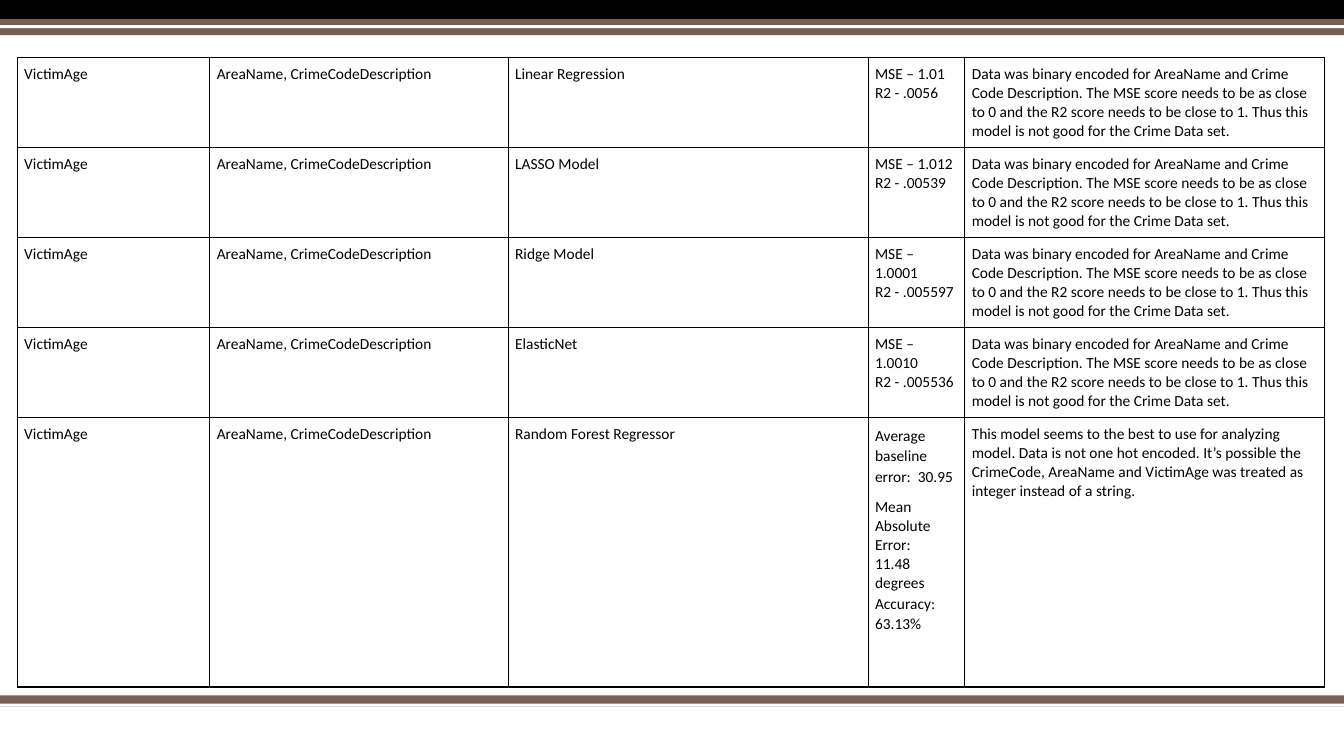
from dataclasses import dataclass
from typing import NamedTuple

from lxml.etree import SubElement
from pptx import Presentation
from pptx.dml.color import RGBColor
from pptx.enum.shapes import MSO_SHAPE
from pptx.oxml.ns import qn
from pptx.slide import Slide
from pptx.table import Table, _Cell
from pptx.util import Inches, Length, Pt

PAGE_WIDTH, PAGE_HEIGHT = Inches(13.33), Inches(7.5)


@dataclass(frozen=True)
class Theme:
    ink: str = "000000"
    band: str = "775F55"
    paper: str = "FFFFFF"
    font: str = "Calibri"
    text_size: float = 11
    inset: float = 0.07
    inner_line: float = 0.75
    outer_line: float = 1
    top_line: float = 0.5


THEME = Theme()


class Bar(NamedTuple):
    top: float
    height: float
    color: str


class Line(NamedTuple):
    text: str
    before: float = 0
    spacing: float = 1


class Model(NamedTuple):
    name: str
    scores: list[Line]
    remark: str


BARS = [
    Bar(92, 1.47, THEME.band),
    Bar(93.07, 0.4, THEME.paper),
    Bar(0, 2.53, THEME.ink),
    Bar(2.53, 2.13, THEME.band),
    Bar(3.33, 0.4, THEME.paper),
]
TABLE_LEFT, TABLE_TOP = 1.28, 7.57
COLUMN_SHARES = [14.33, 22.2, 26.78, 7.2, 26.78]
ROW_SHARES = [11.93] * 4 + [35.6]

POOR_FIT = (
    "Data was binary encoded for AreaName and Crime Code Description. "
    "The MSE score needs to be as close to 0 and the R2 score needs to be close to 1. "
    "Thus this model is not good for the Crime Data set."
)
BEST_FIT = (
    "This model seems to the best to use for analyzing model. Data is not one hot encoded. "
    "It’s possible the CrimeCode, AreaName and VictimAge was treated as integer "
    "instead of a string."
)
MODELS = [
    Model("Linear Regression", [Line("MSE – 1.01"), Line("R2 - .0056")], POOR_FIT),
    Model("LASSO Model", [Line("MSE – 1.012"), Line("R2 - .00539")], POOR_FIT),
    Model("Ridge Model", [Line("MSE – 1.0001"), Line("R2 - .005597")], POOR_FIT),
    Model("ElasticNet", [Line("MSE – 1.0010"), Line("R2 - .005536")], POOR_FIT),
    Model(
        "Random Forest Regressor",
        [
            Line("Average baseline error:  30.95", spacing=1.08),
            Line("Mean Absolute Error:", before=8),
            Line("11.48 degrees"),
            Line("Accuracy: 63.13%", spacing=1.08),
        ],
        BEST_FIT,
    ),
]


def across(share: float) -> Length:
    return Length(round(PAGE_WIDTH * share / 100))


def down(share: float) -> Length:
    return Length(round(PAGE_HEIGHT * share / 100))


def apply_format(target: object, values: dict[str, object]) -> None:
    for name, value in values.items():
        setattr(target, name, value)


def draw_bar(page: Slide, bar: Bar) -> None:
    shape = page.shapes.add_shape(
        MSO_SHAPE.RECTANGLE, 0, down(bar.top), PAGE_WIDTH, down(bar.height)
    )
    shape.shadow.inherit = False
    shape.fill.solid()
    shape.fill.fore_color.rgb = RGBColor.from_string(bar.color)
    shape.line.fill.background()


def write_lines(cell: _Cell, lines: list[Line]) -> None:
    frame = cell.text_frame
    for index, line in enumerate(lines):
        para = frame.add_paragraph() if index else frame.paragraphs[0]
        apply_format(para, {"space_before": Pt(line.before), "line_spacing": line.spacing})
        span = para.add_run()
        span.text = line.text
        apply_format(span.font, {"name": THEME.font, "size": Pt(THEME.text_size)})
        span.font.color.rgb = RGBColor.from_string(THEME.ink)


def draw_borders(cell: _Cell, widths: dict[str, float]) -> None:
    properties = cell._tc.get_or_add_tcPr()
    for position, (side, width) in enumerate(widths.items()):
        border = SubElement(properties, qn(f"a:ln{side}"), w=str(Pt(width)))
        fill = SubElement(border, qn("a:solidFill"))
        SubElement(fill, qn("a:srgbClr"), val=THEME.ink)
        properties.insert(position, border)


def fill_table(table: Table) -> None:
    last_row, last_column = len(ROW_SHARES) - 1, len(COLUMN_SHARES) - 1
    margins = {f"margin_{side}": Inches(THEME.inset) for side in ("left", "top", "right", "bottom")}
    for row, model in enumerate(MODELS):
        contents = [
            [Line("VictimAge")],
            [Line("AreaName, CrimeCodeDescription")],
            [Line(model.name)],
            model.scores,
            [Line(model.remark)],
        ]
        for column, lines in enumerate(contents):
            cell = table.cell(row, column)
            cell.fill.background()
            apply_format(cell, margins)
            write_lines(cell, lines)
            draw_borders(cell, {
                "L": THEME.inner_line if column else THEME.outer_line,
                "R": THEME.outer_line if column == last_column else THEME.inner_line,
                "T": THEME.inner_line if row else THEME.top_line,
                "B": THEME.outer_line if row == last_row else THEME.inner_line,
            })


def draw_table(page: Slide) -> None:
    table = page.shapes.add_table(
        len(ROW_SHARES), len(COLUMN_SHARES), across(TABLE_LEFT), down(TABLE_TOP),
        across(sum(COLUMN_SHARES)), down(sum(ROW_SHARES)),
    ).table
    apply_format(table, {"first_row": False, "horz_banding": False})
    for column, share in zip(table.columns, COLUMN_SHARES):
        column.width = across(share)
    for row, share in zip(table.rows, ROW_SHARES):
        row.height = down(share)
    fill_table(table)


def main() -> None:
    deck = Presentation()
    apply_format(deck, {"slide_width": PAGE_WIDTH, "slide_height": PAGE_HEIGHT})
    page = deck.slides.add_slide(deck.slide_layouts[6])
    page.background.fill.solid()
    page.background.fill.fore_color.rgb = RGBColor.from_string(THEME.paper)
    for bar in BARS:
        draw_bar(page, bar)
    draw_table(page)
    deck.save("out.pptx")


if __name__ == "__main__":
    main()
